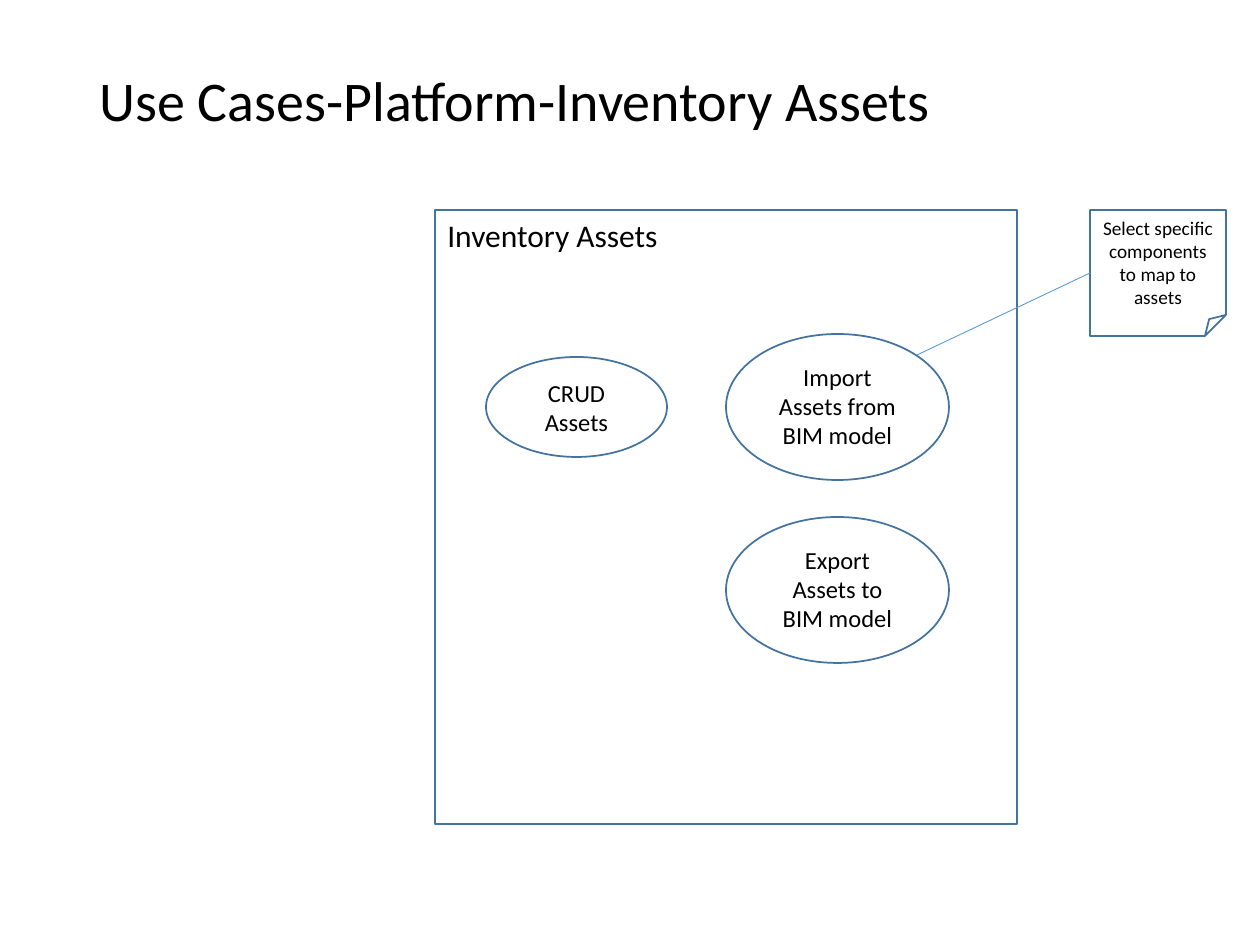
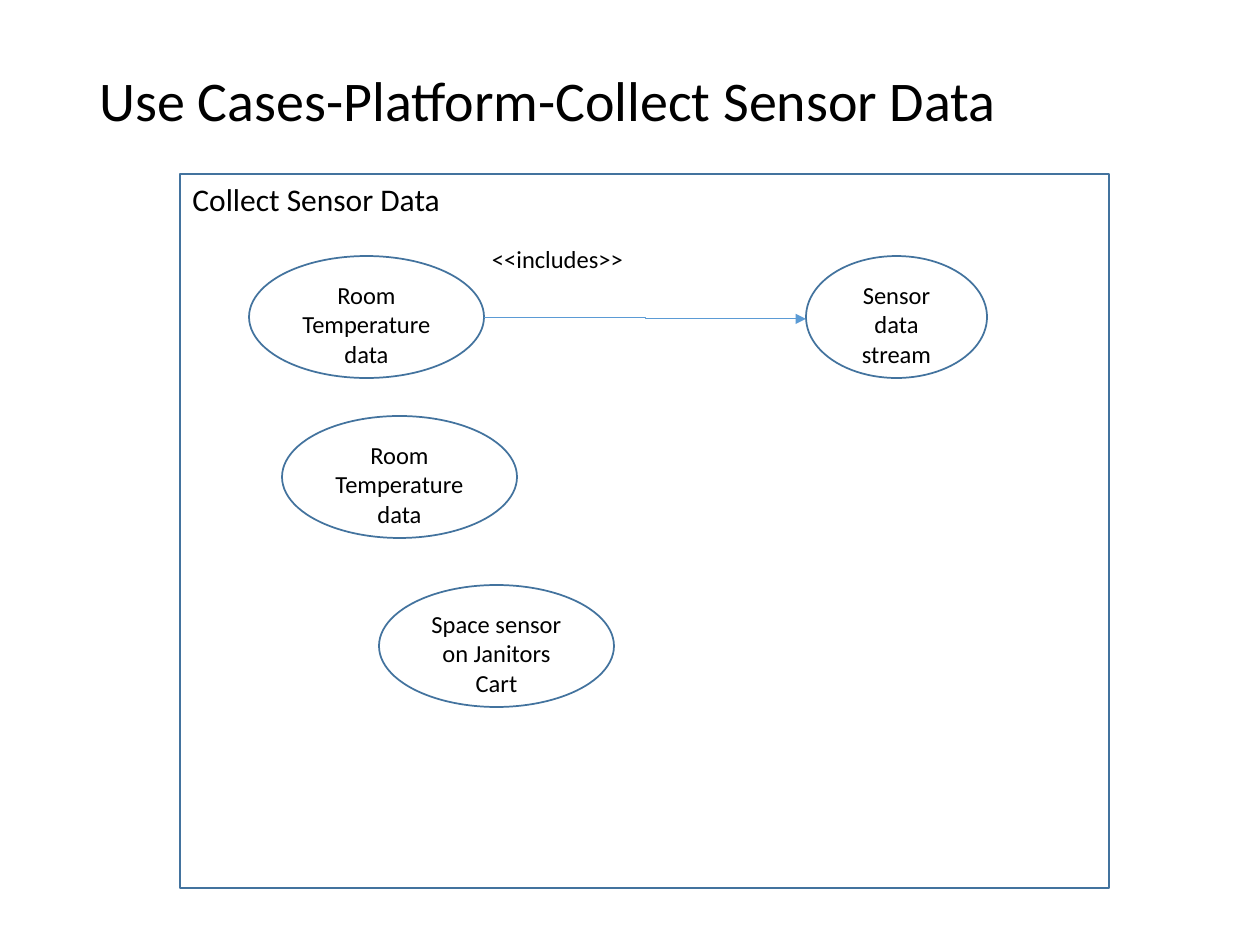
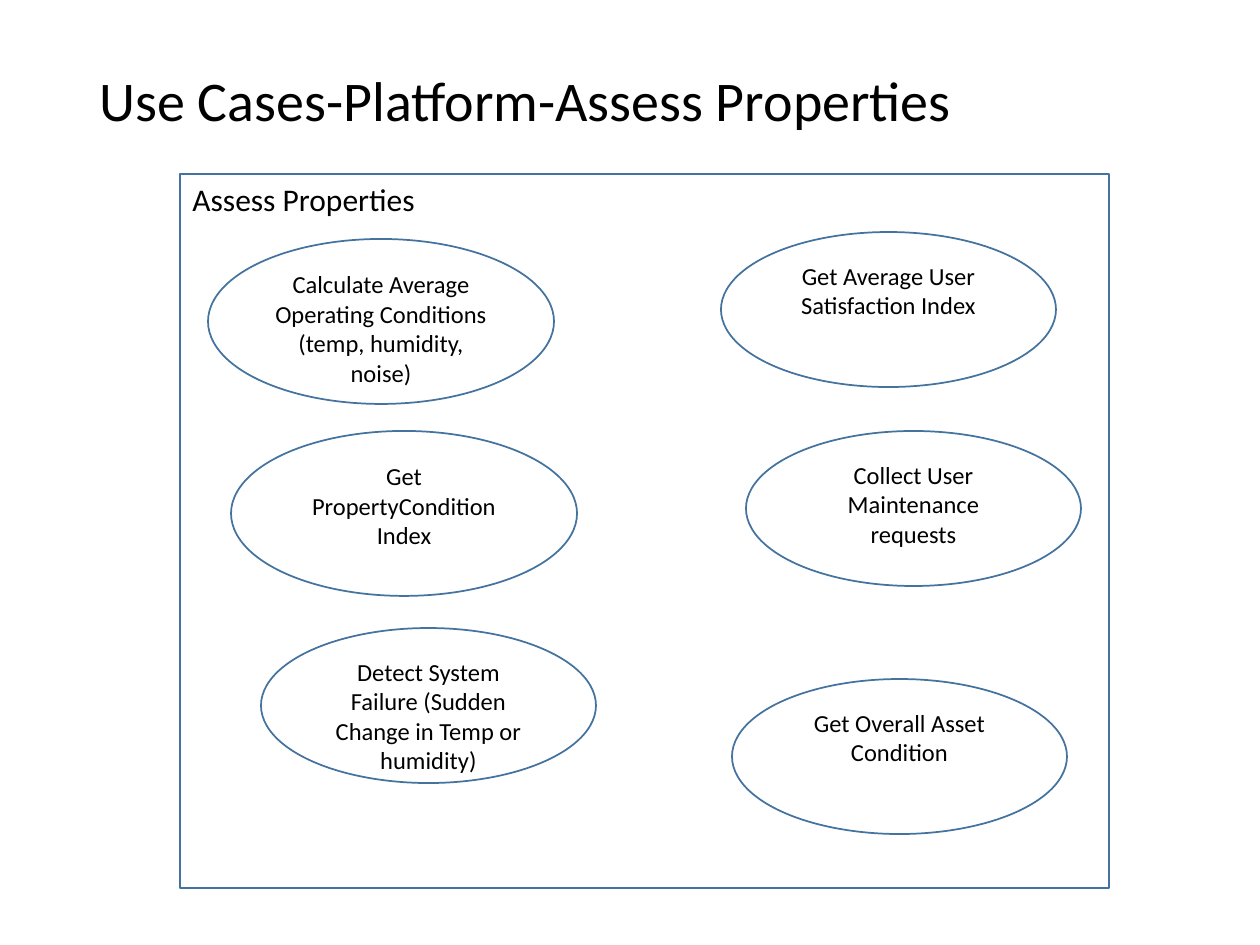
from collections import namedtuple

from lxml.etree import SubElement
from pptx import Presentation
from pptx.dml.color import RGBColor
from pptx.enum.shapes import MSO_CONNECTOR, MSO_SHAPE
from pptx.enum.text import MSO_ANCHOR, MSO_AUTO_SIZE, PP_ALIGN
from pptx.oxml.ns import qn
from pptx.util import Emu, Pt

SCALE = 914400 / 126
FONT = "Calibri"
INK = "000000"
OUTLINE = "43739E"
LINK = "5B9BD5"
TITLE_ONLY = 5

Box = namedtuple("Box", "left top width height")
TITLE_BOX = Box(87, 50, 1086, 107)
WIDE_FRAME = Box(180, 174, 929, 714)


def px(length):
    """Turn picture pixels into EMU."""
    return Emu(round(length * SCALE))


def color(code):
    """Turn a hex string into a colour."""
    return RGBColor.from_string(code)


def inside(outer, left, top, width, height):
    """Give the box that lies at an offset within another box."""
    return Box(outer.left + left, outer.top + top, width, height)


def write(shape, text, size=14, align=PP_ALIGN.CENTER, anchor=MSO_ANCHOR.TOP, spacing=None):
    """Fill a shape with wrapped text, one paragraph a line."""
    frame = shape.text_frame
    frame.text = text
    frame.word_wrap = True
    frame.vertical_anchor = anchor
    for para in frame.paragraphs:
        para.alignment = align
        para.line_spacing = spacing
        for span in para.runs:
            span.font.name = FONT
            span.font.size = Pt(size)
            span.font.color.rgb = color(INK)


def add_outline(page, kind, box, text, **style):
    """Add an unfilled outlined shape with text."""
    shape = page.shapes.add_shape(kind, *map(px, box))
    shape.shadow.inherit = False
    shape.fill.background()
    shape.line.color.rgb = color(OUTLINE)
    shape.line.width = Pt(1)
    write(shape, text, **style)
    return shape


def add_link(page, kind, start, end, arrow=False):
    """Join two points, with an optional arrowhead at the start."""
    link = page.shapes.add_connector(kind, *map(px, start + end))
    link.line.color.rgb = color(LINK)
    link.line.width = Pt(0.5)
    properties = link._element.spPr
    if arrow:
        SubElement(properties.find(qn("a:ln")), qn("a:headEnd"), type="triangle")
    SubElement(properties, qn("a:effectLst"))


def add_label(page, box, text):
    """Add a plain text label."""
    write(page.shapes.add_textbox(*map(px, box)), text)


def add_note(page, box, text, target):
    """Add a folded note tied to a target point."""
    note = add_outline(page, MSO_SHAPE.FOLDED_CORNER, box, text, size=11)
    note.text_frame.auto_size = MSO_AUTO_SIZE.SHAPE_TO_FIT_TEXT
    start = (box.left, box.top + box.height / 2)
    add_link(page, MSO_CONNECTOR.STRAIGHT, start, target)


def add_use_case_page(deck, name, frame, cases):
    """Add a titled page whose system frame holds use case ellipses."""
    page = deck.slides.add_slide(deck.slide_layouts[TITLE_ONLY])
    title = page.shapes.title
    title.left, title.top, title.width, title.height = map(px, TITLE_BOX)
    write(title, f"Use Cases-Platform-{name}", size=32, align=PP_ALIGN.LEFT,
          anchor=MSO_ANCHOR.MIDDLE, spacing=0.9)
    add_outline(page, MSO_SHAPE.RECTANGLE, frame, name, size=18, align=PP_ALIGN.LEFT)
    for text, left, top, size in cases:
        add_outline(page, MSO_SHAPE.OVAL, inside(frame, left, top, *size), text)
    return page


def add_inventory_page(deck, frame):
    """Add the inventory assets page with its note."""
    transfer = (223, 146)
    page = add_use_case_page(deck, "Inventory Assets", frame, [
        ("CRUD Assets", 51, 147, (181, 100)),
        ("Import Assets from BIM model", 291, 124, transfer),
        ("Export Assets to BIM model", 291, 307, transfer),
    ])
    add_note(page, inside(frame, 655, 0, 136, 126),
             "Select specific components to map to assets",
             (frame.left + 482, frame.top + 145))


def add_sensor_page(deck, frame):
    """Add the sensor data page with its includes arrow."""
    sensor, stream = (235, 122), (181, 122)
    page = add_use_case_page(deck, "Collect Sensor Data", frame, [
        ("Room Temperature data", 69, 82, sensor),
        ("Sensor data stream", 626, 82, stream),
        ("Room Temperature data", 102, 242, sensor),
        ("Space sensor on Janitors Cart", 199, 411, sensor),
    ])
    add_label(page, inside(frame, 287, 64, 181, 45), "<<includes>>")
    add_link(page, MSO_CONNECTOR.ELBOW, (frame.left + 626, frame.top + 145),
             (frame.left + 304, frame.top + 144), arrow=True)


def add_assessment_page(deck, frame):
    """Add the property assessment page."""
    large, small = (346, 165), (335, 155)
    add_use_case_page(deck, "Assess Properties", frame, [
        ("Calculate Average Operating Conditions\n(temp, humidity, noise)", 28, 65, large),
        ("Detect System Failure (Sudden Change in Temp or humidity)", 81, 454, small),
        ("Get Average User Satisfaction Index", 541, 58, small),
        ("Collect User Maintenance requests", 566, 257, small),
        ("Get Overall Asset Condition", 552, 505, small),
        ("Get PropertyCondition Index", 51, 257, large),
    ])


def main():
    """Build and save the deck."""
    deck = Presentation()
    deck.slide_width, deck.slide_height = px(1260), px(945)
    add_inventory_page(deck, Box(435, 210, 582, 614))
    add_sensor_page(deck, WIDE_FRAME)
    add_assessment_page(deck, WIDE_FRAME)
    deck.save("out.pptx")


main()
